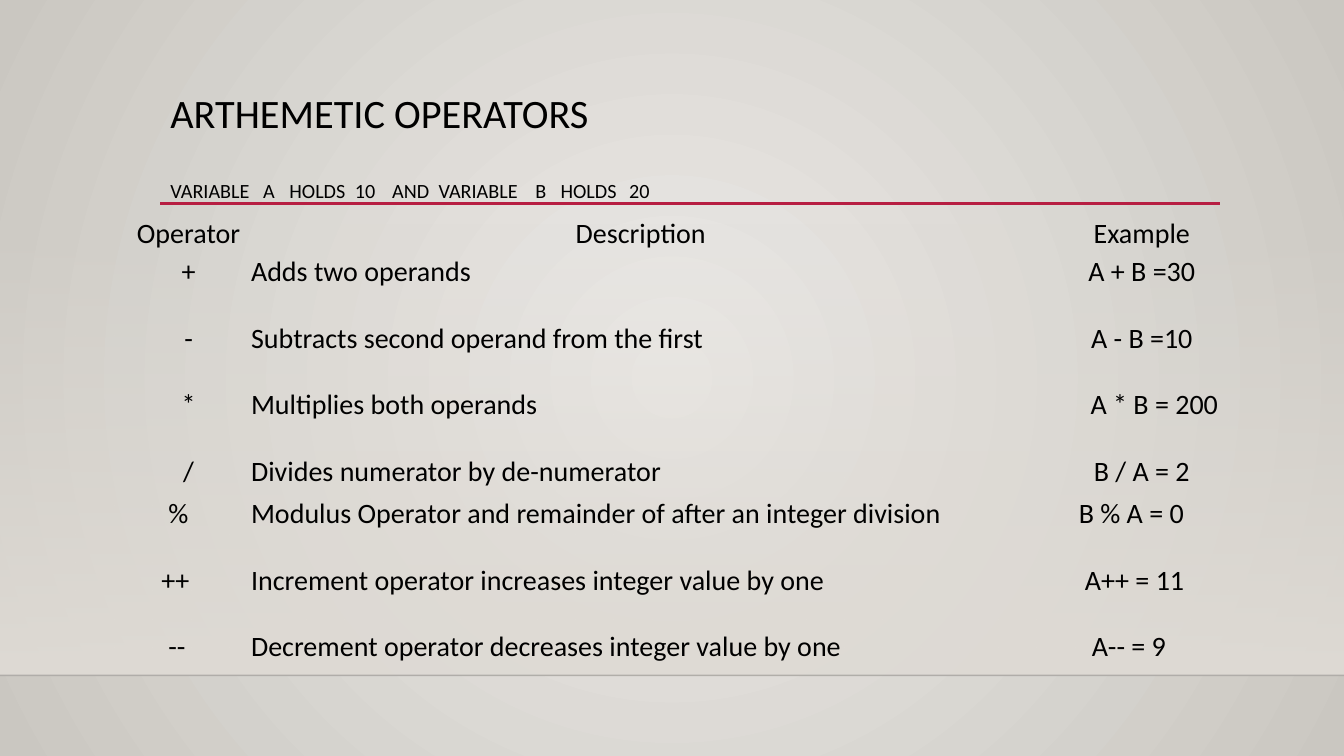
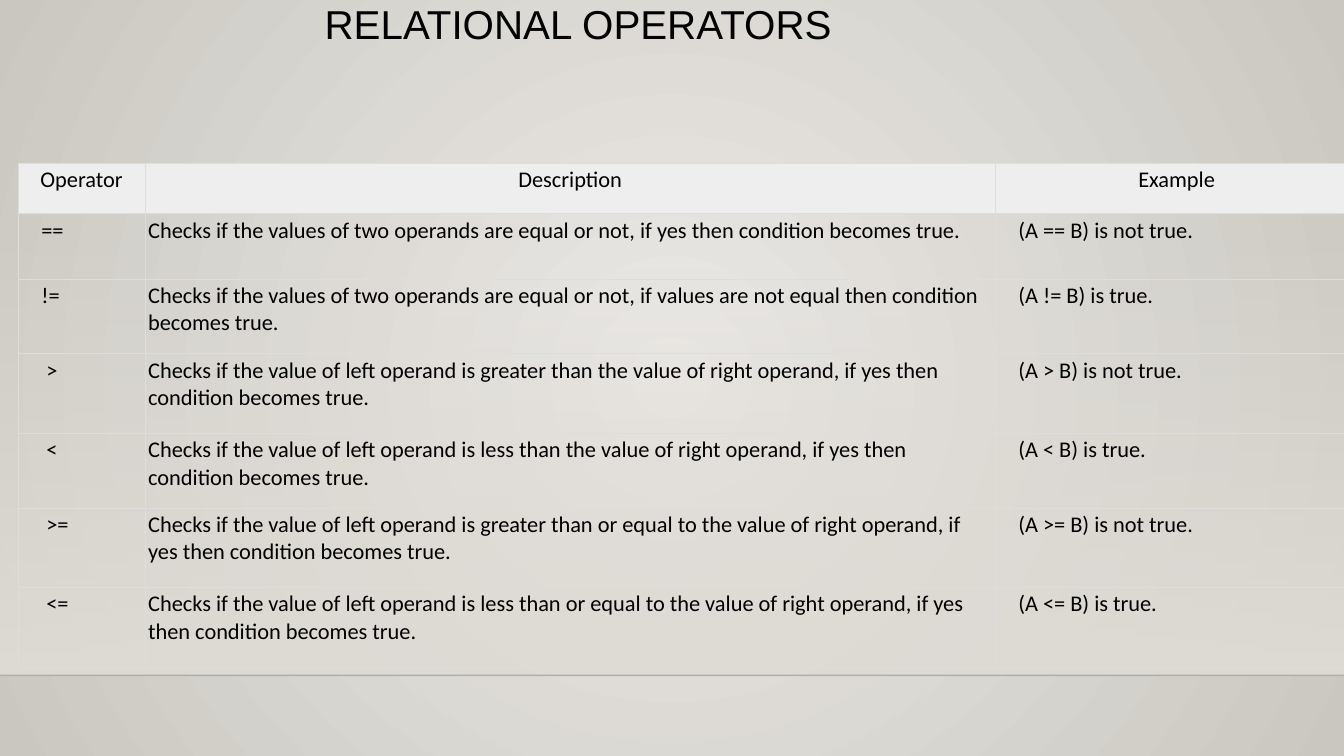
from lxml import etree
from pptx import Presentation
from pptx.dml.color import RGBColor
from pptx.enum.shapes import MSO_CONNECTOR as Connector, MSO_SHAPE as Shape
from pptx.enum.text import MSO_ANCHOR as Anchor, MSO_AUTO_SIZE as AutoSize, PP_ALIGN as Align
from pptx.oxml import parse_xml
from pptx.oxml.ns import nsdecls, qn
from pptx.util import Inches, Pt

WIDTH, HEIGHT = 13.33, 7.5
TITLE_ONLY = 5
PLAIN_TABLE = "{2D5ABB26-0587-4C30-8999-92F81FD0307C}"


def color(value):
    return RGBColor.from_string(value)


def set_values(target, values):
    for name, value in values.items():
        setattr(target, name, value)


def set_gradient(fill, holder, stops, shade):
    """Fill with (position, colour, opacity) stops, all in percent."""
    fill.gradient()
    old = next(holder.iter(qn("a:gradFill")))
    marks = "".join(
        f'<a:gs pos="{place * 1000}"><a:srgbClr val="{tint}">'
        f'<a:alpha val="{opacity * 1000}"/></a:srgbClr></a:gs>'
        for place, tint, opacity in stops)
    new = parse_xml(f'<a:gradFill {nsdecls("a")} rotWithShape="1">'
                    f'<a:gsLst>{marks}</a:gsLst>{shade}</a:gradFill>')
    old.getparent().replace(old, new)


class OperatorDeck:
    INK, ACCENT, SAND = "000000", "B71E42", "DFDBD5"
    EDGE, HEADER = "DDDDDD", "EEEEEE"
    TITLE_SIZE, NOTE_SIZE = 28.8, 14.4

    def __init__(self):
        self.deck = Presentation()
        set_values(self.deck, {"slide_width": Inches(WIDTH), "slide_height": Inches(HEIGHT)})
        self.page = None
        master = self.deck.slide_master
        set_gradient(master.background.fill, master.element,
                     [(0, "ECEAE7", 100), (100, "CAC7C1", 100)],
                     '<a:path path="circle"><a:fillToRect l="50000" t="50000" '
                     'r="50000" b="50000"/></a:path>')

    def add_page(self):
        """Start a slide with the sand band and the floor line."""
        self.page = self.deck.slides.add_slide(self.deck.slide_layouts[TITLE_ONLY])
        band = self.page.shapes.add_shape(
            Shape.RECTANGLE, 0, Inches(2.21), Inches(WIDTH), Inches(4.49))
        band.shadow.inherit = False
        band.line.fill.background()
        set_gradient(band.fill, band.element,
                     [(0, self.SAND, 0), (100, self.SAND, 100)], '<a:lin ang="5400000"/>')
        self.rule(0, WIDTH, 6.7, "000001", 1, opacity=20)

    def rule(self, left, right, top, tint, width, opacity=100):
        line = self.page.shapes.add_connector(
            Connector.STRAIGHT, Inches(left), Inches(top), Inches(right), Inches(top))
        line.line.width = Pt(width)
        line.line.color.rgb = color(tint)
        etree.SubElement(next(line.element.iter(qn("a:srgbClr"))),
                         qn("a:alpha")).set("val", str(opacity * 1000))
        etree.SubElement(line.element.spPr, qn("a:effectLst"))

    def add_span(self, para, text, size, font):
        span = para.add_run()
        span.text = text
        set_values(span.font, {"size": Pt(size), "name": font, "bold": False})
        span.font.color.rgb = color(self.INK)

    def title(self, text, left, top, width, height, font="Calibri"):
        box = self.page.shapes.title
        set_values(box, {"left": Inches(left), "top": Inches(top),
                         "width": Inches(width), "height": Inches(height)})
        set_values(box.text_frame, {"word_wrap": True, "vertical_anchor": Anchor.TOP,
                                    "auto_size": AutoSize.NONE})
        para = box.text_frame.paragraphs[0]
        set_values(para, {"alignment": Align.LEFT, "line_spacing": 0.9})
        self.add_span(para, text, self.TITLE_SIZE, font)

    def title_note(self, words, stops):
        """Add a small line under the title, its words set on tab stops."""
        para = self.page.shapes.title.text_frame.add_paragraph()
        set_values(para, {"alignment": Align.LEFT, "line_spacing": 0.9,
                          "space_before": Pt(31.6)})
        self.add_span(para, "\t".join(words), self.NOTE_SIZE, "Calibri")
        tabs = etree.SubElement(para._p.get_or_add_pPr(), qn("a:tabLst"))
        for stop in stops:
            tab = etree.SubElement(tabs, qn("a:tab"))
            tab.set("pos", str(Inches(stop)))
            tab.set("algn", "l")

    def borders(self, cell, width):
        props = cell._tc.get_or_add_tcPr()
        for place, side in enumerate(("lnL", "lnR", "lnT", "lnB")):
            props.insert(place, parse_xml(
                f'<a:{side} {nsdecls("a")} w="{Pt(width)}"><a:solidFill>'
                f'<a:srgbClr val="{self.EDGE}"/></a:solidFill></a:{side}>'))

    def table(self, left, top, columns, heights, rows, size, margin, edge=0):
        """Each cell is (text, alignment, indent in inches)."""
        frame = self.page.shapes.add_table(
            len(rows), len(columns), Inches(left), Inches(top),
            Inches(sum(columns)), Inches(sum(heights)))
        grid = frame.table
        set_values(grid, {"first_row": False, "horz_banding": False})
        next(grid._tbl.iter(qn("a:tableStyleId"))).text = PLAIN_TABLE
        for column, width in zip(grid.columns, columns):
            column.width = Inches(width)
        sides = ("left", "right", "top", "bottom")
        for index, (row, height, entries) in enumerate(zip(grid.rows, heights, rows)):
            row.height = Inches(height)
            for cell, (text, alignment, indent) in zip(row.cells, entries):
                set_values(cell, {f"margin_{side}": Inches(margin) for side in sides})
                if edge and index == 0:
                    cell.fill.solid()
                    cell.fill.fore_color.rgb = color(self.HEADER)
                else:
                    cell.fill.background()
                if edge:
                    self.borders(cell, edge)
                para = cell.text_frame.paragraphs[0]
                para.alignment = alignment
                if indent:
                    para._p.get_or_add_pPr().set("marL", str(Inches(indent)))
                self.add_span(para, text, size, "Calibri")


def centered(text, indent=0):
    return text, Align.CENTER, indent


def leading(text, indent=0):
    return text, Align.LEFT, indent


HEADINGS = [centered(name) for name in ("Operator", "Description", "Example")]

# Sign, description, example and indents
CENTERED_ARITHMETIC = [
    ("+", "Adds two operands", "A + B =30", 0),
    ("-", "Subtracts second operand from the first", "A - B =10", 0),
    ("*", "Multiplies both operands", "A * B = 200", 0.25),
    ("/", "Divides numerator by de-numerator", "B / A = 2", 0),
]
INDENTED_ARITHMETIC = [
    ("%", 0.38, "Modulus Operator and remainder of after an integer division", "B % A = 0", 0.44),
    ("++", 0.31, "Increment operator increases integer value by one", "A++ = 11", 0.5),
    ("--", 0.38, "Decrement operator decreases integer value by one", "A-- = 9", 0.57),
]
EQUAL = "Checks if the values of two operands are equal or not, if "
COMPARE = ("Checks if the value of left operand is {} the value of right operand, "
           "if yes then condition becomes true.")
RELATIONAL = [
    ("==", 0.2, EQUAL + "yes then condition becomes true.", "not true"),
    ("!=", 0.2, EQUAL + "values are not equal then condition becomes true.", "true"),
    (">", 0.25, COMPARE.format("greater than"), "not true"),
    ("<", 0.25, COMPARE.format("less than"), "true"),
    (">=", 0.25, COMPARE.format("greater than or equal to"), "not true"),
    ("<=", 0.25, COMPARE.format("less than or equal to"), "true"),
]


def arithmetic_slide(show):
    show.add_page()
    show.rule(1.59, 12.1, 2.02, show.ACCENT, 2.5)
    show.title("ARTHEMETIC OPERATORS", 1.59, 0.88, 10.5, 1.1)
    show.title_note("VARIABLE A HOLDS 10 AND VARIABLE B HOLDS 20".split(),
                    [0.92, 1.18, 1.83, 2.2, 2.66, 3.62, 3.87, 4.55])
    rows = [HEADINGS]
    rows += [[centered(sign), leading(text), centered(example, indent)]
             for sign, text, example, indent in CENTERED_ARITHMETIC]
    rows += [[leading(sign, inset), leading(text), leading(example, indent)]
             for sign, inset, text, example, indent in INDENTED_ARITHMETIC]
    show.table(1.27, 2.13, [1.2, 7.77, 2.17],
               [0.38, 0.66, 0.66, 0.66, 0.42, 0.66, 0.66, 0.38], rows, 20, 0.02)


def relational_slide(show):
    show.add_page()
    show.title("RELATIONAL OPERATORS", 3.12, 0, 8.97, 1, font="Arial")
    rows = [HEADINGS]
    rows += [[leading(sign, inset), leading(text), leading(f"(A {sign} B) is {result}.", 0.2)]
             for sign, inset, text, result in RELATIONAL]
    show.table(0.18, 1.62, [1.26, 8.43, 3.6],
               [0.5, 0.65, 0.74, 0.79, 0.74, 0.79, 0.79], rows, 16, 0.03, edge=0.6)


def main():
    show = OperatorDeck()
    arithmetic_slide(show)
    relational_slide(show)
    show.deck.save("out.pptx")


if __name__ == "__main__":
    main()
